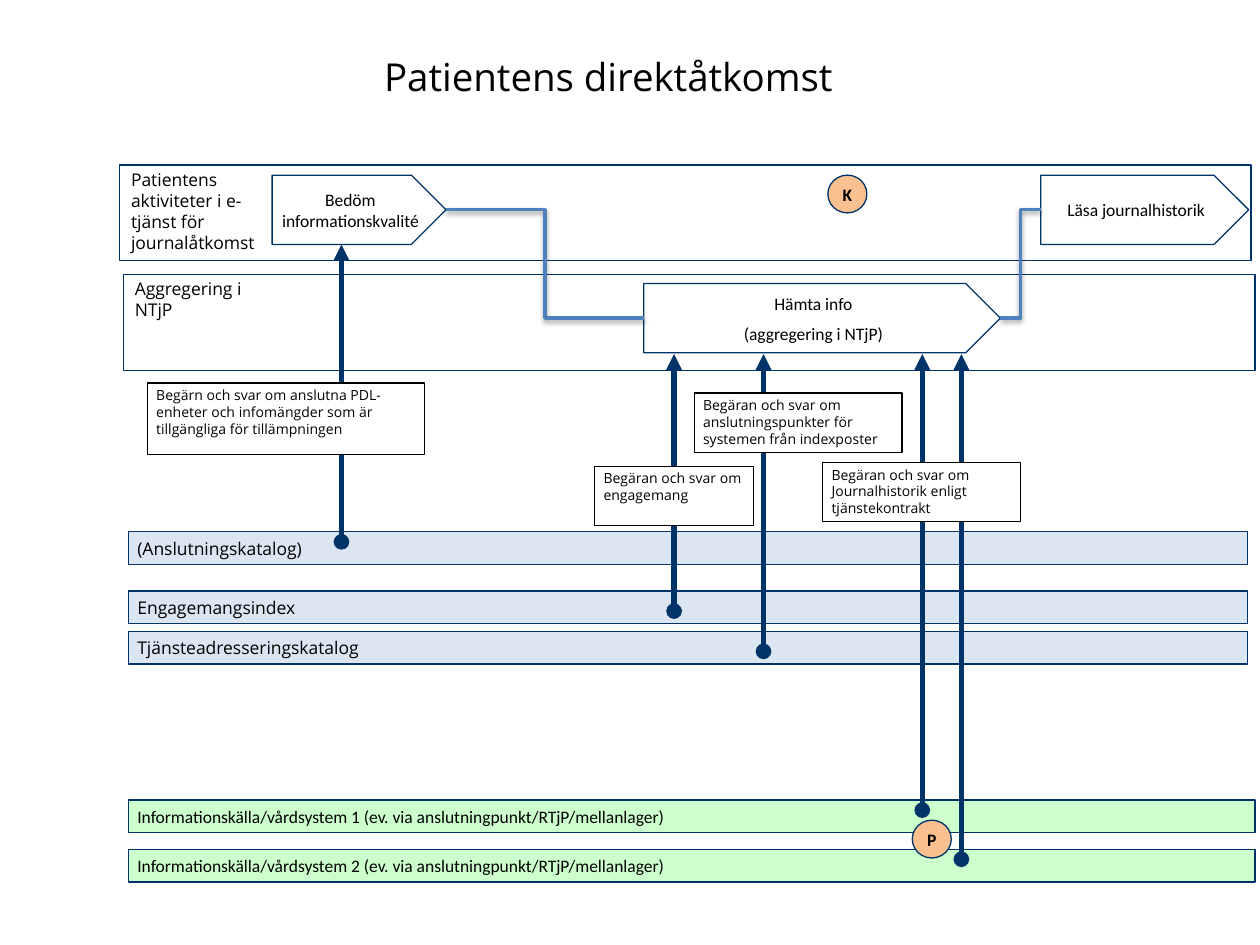
from lxml import etree
from pptx import Presentation
from pptx.dml.color import RGBColor
from pptx.enum.shapes import MSO_CONNECTOR, MSO_SHAPE
from pptx.enum.text import MSO_ANCHOR, PP_ALIGN
from pptx.oxml.ns import qn
from pptx.util import Inches, Pt

RECT, PENTAGON, OVAL = MSO_SHAPE.RECTANGLE, MSO_SHAPE.PENTAGON, MSO_SHAPE.OVAL
STRAIGHT, ELBOW = MSO_CONNECTOR.STRAIGHT, MSO_CONNECTOR.ELBOW
TOP, MIDDLE = MSO_ANCHOR.TOP, MSO_ANCHOR.MIDDLE
LEFT, CENTER = PP_ALIGN.LEFT, PP_ALIGN.CENTER
SIDE_LEFT, SIDE_RIGHT = 1, 3
SANS, BODY = "Open Sans", "Calibri"

COLORS = {
    "text": "000000", "white": "FFFFFF", "navy": "003468", "flow": "4F81BD",
    "catalog": "DCE6F2", "source": "CCFFCC", "marker": "FAC090",
}

TITLE = "Patientens direktåtkomst"
# label, label box, lane left, lane top
LANES = [
    ("Aggregering i NTjP", (1, 2.18, 1.1, 0.41), 0.98, 2.18),
    ("Patientens aktiviteter i e-tjänst för journalåtkomst",
     (0.97, 1.31, 1.22, 0.74), 0.95, 1.31),
]
LANE_SIZE = (8.98, 0.76)
# label, top, width, fill, font
BARS = [
    ("(Anslutningskatalog)", 4.22, 8.88, "catalog", SANS),
    ("Engagemangsindex", 4.69, 8.88, "catalog", SANS),
    ("Tjänsteadresseringskatalog", 5.01, 8.88, "catalog", SANS),
    ("Informationskälla/vårdsystem 1 (ev. via anslutningpunkt/RTjP/mellanlager)",
     6.35, 8.94, "source", BODY),
    ("Informationskälla/vårdsystem 2 (ev. via anslutningpunkt/RTjP/mellanlager)",
     6.74, 8.94, "source", BODY),
]
BAR_LEFT, BAR_HEIGHT = 1.02, 0.26
# paragraphs, left, top, width; in the order of the flow
STEPS = [
    (["Bedöm informationskvalité"], 2.16, 1.39, 1.38),
    (["Hämta info", "(aggregering i NTjP)"], 5.11, 2.25, 2.83),
    (["Läsa journalhistorik"], 8.26, 1.39, 1.65),
]
STEP_HEIGHT = 0.55
# x, top, bottom
REQUESTS = [
    (2.71, 1.94, 4.3), (5.35, 2.81, 4.85), (6.06, 2.81, 5.17),
    (7.32, 2.81, 6.43), (7.63, 2.81, 6.82),
]
NOTES = [
    ("Begärn och svar om anslutna PDL-enheter och infomängder som är "
     "tillgängliga för tillämpningen", (1.17, 3.04, 2.2, 0.57)),
    ("Begäran och svar om engagemang", (4.72, 3.7, 1.26, 0.47)),
    ("Begäran och svar om anslutningspunkter för systemen från indexposter",
     (5.51, 3.12, 1.65, 0.47)),
    ("Begäran och svar om Journalhistorik enligt tjänstekontrakt",
     (6.53, 3.67, 1.57, 0.47)),
]
MARKERS = [("P", 7.24, 6.51), ("K", 6.57, 1.39)]
MARKER_SIZE = (0.31, 0.3)

prs = Presentation()
prs.slide_width, prs.slide_height = Inches(10), Inches(7.5)
shapes = prs.slides.add_slide(prs.slide_layouts[6]).shapes


def rgb(name):
    return RGBColor.from_string(COLORS[name])


def write(sp, paragraphs, size=10, font=SANS, align=LEFT, anchor=MIDDLE,
          bold=False, inset=(0.07, 0.03)):
    tf = sp.text_frame
    tf.word_wrap = True
    tf.vertical_anchor = anchor
    tf.margin_left = tf.margin_right = Inches(inset[0])
    tf.margin_top = tf.margin_bottom = Inches(inset[1])
    for i, text in enumerate(paragraphs):
        p = tf.add_paragraph() if i else tf.paragraphs[0]
        p.alignment = align
        p.space_before = Pt(5 if i else 0)
        r = p.add_run()
        r.text = text
        r.font.size, r.font.name, r.font.bold = Pt(size), font, bold
        r.font.color.rgb = rgb("text")


def add_box(kind, box, fill=None, line="navy"):
    sp = shapes.add_shape(kind, *map(Inches, box))
    sp.shadow.inherit = False
    if fill:
        sp.fill.solid()
        sp.fill.fore_color.rgb = rgb(fill)
    else:
        sp.fill.background()
    sp.line.color.rgb = rgb(line)
    sp.line.width = Pt(0.75)
    return sp


def add_label(box, text, **style):
    write(shapes.add_textbox(*map(Inches, box)), [text], **style)


def add_line(kind, ends, color, width):
    """Return the connector and its effect list, which is empty."""
    line = shapes.add_connector(kind, *map(Inches, ends))
    line.line.color.rgb = rgb(color)
    line.line.width = Pt(width)
    effects = etree.SubElement(line._element.spPr, qn("a:effectLst"))
    return line, effects


def add_flow(source, target):
    line, effects = add_line(ELBOW, (0, 0, 1, 1), "flow", 2)
    line.begin_connect(source, SIDE_RIGHT)
    line.end_connect(target, SIDE_LEFT)
    shadow = etree.SubElement(effects, qn("a:outerShdw"), blurRad=str(Pt(3.1)),
                              dist=str(Pt(1.6)), dir="5400000", rotWithShape="0")
    color = etree.SubElement(shadow, qn("a:srgbClr"), val=COLORS["text"])
    etree.SubElement(color, qn("a:alpha"), val="38000")


def add_request(x, top, bottom):
    line, _ = add_line(STRAIGHT, (x, top, x, bottom), "navy", 3)
    ln = line.line._get_or_add_ln()
    etree.SubElement(ln, qn("a:headEnd"), type="triangle")
    etree.SubElement(ln, qn("a:tailEnd"), type="oval")


add_label((2.95, 0.29, 6.65, 0.63), TITLE, size=22, inset=(0.1, 0.05))

for text, label_box, left, top in LANES:
    add_box(RECT, (left, top, *LANE_SIZE))
    add_label(label_box, text, anchor=TOP)

for text, top, width, fill, font in BARS:
    write(add_box(RECT, (BAR_LEFT, top, width, BAR_HEIGHT), fill), [text], font=font)

steps = []
for paragraphs, left, top, width in STEPS:
    step = add_box(PENTAGON, (left, top, width, STEP_HEIGHT), "white")
    write(step, paragraphs, font=BODY, align=CENTER)
    steps.append(step)

for source, target in zip(steps, steps[1:]):
    add_flow(source, target)

for request in REQUESTS:
    add_request(*request)

for text, box in NOTES:
    write(add_box(RECT, box, "white", "text"), [text], size=8, anchor=TOP)

for letter, left, top in MARKERS:
    marker = add_box(OVAL, (left, top, *MARKER_SIZE), "marker")
    write(marker, [letter], font=BODY, align=CENTER, bold=True)

prs.save("out.pptx")
